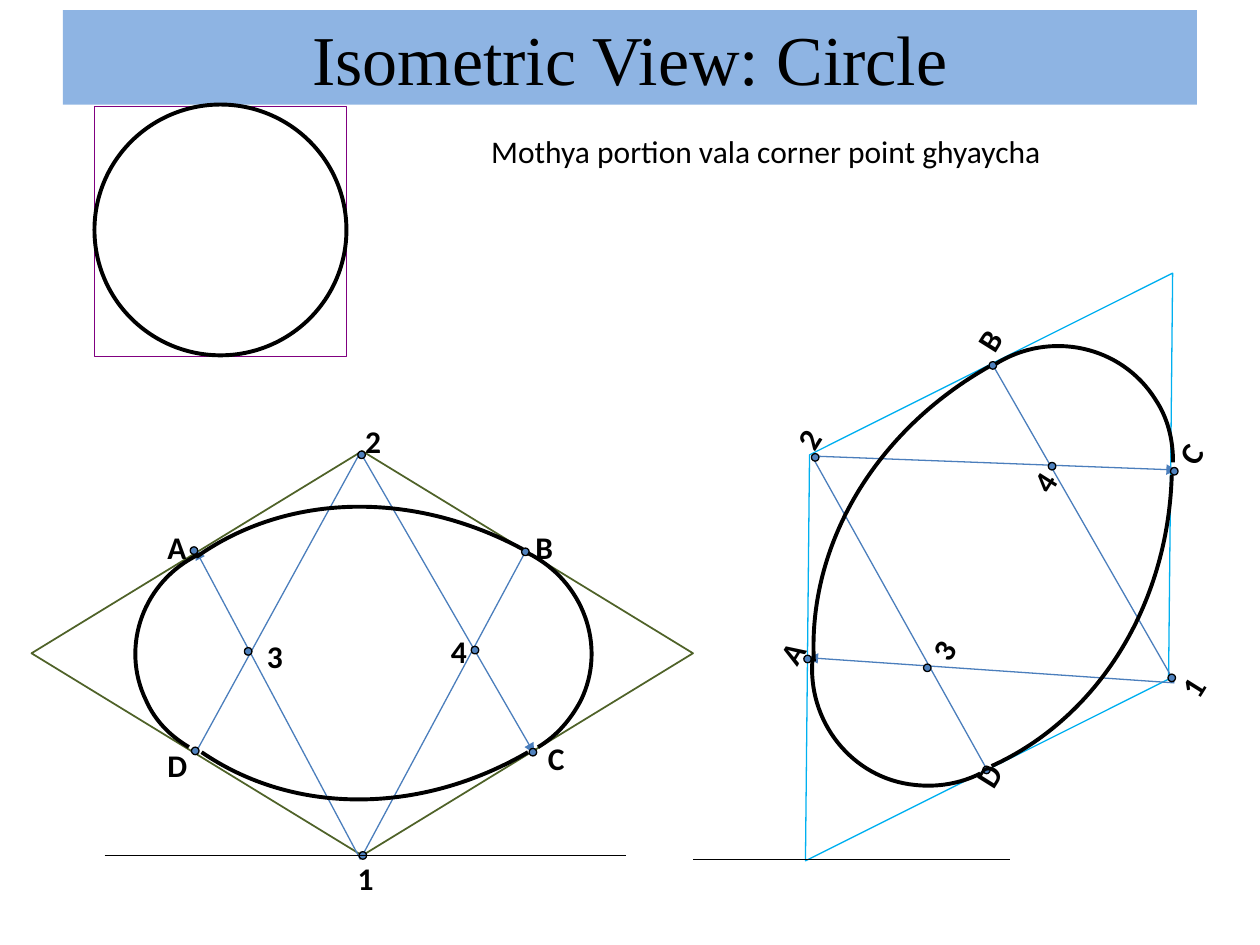
from lxml import etree
from pptx import Presentation
from pptx.dml.color import RGBColor
from pptx.enum.shapes import MSO_CONNECTOR as Wire, MSO_SHAPE as Kind
from pptx.enum.text import MSO_ANCHOR as Anchor, MSO_AUTO_SIZE as Fit, PP_ALIGN as Align
from pptx.oxml.ns import qn
from pptx.util import Inches, Pt

COLORS = {
    "banner": "8EB4E3", "black": "000000", "white": "FFFFFF", "dot": "4F81BD",
    "ray": "4B7EBC", "olive": "4F6228", "cyan": "00B0F0", "purple": "800080",
}
FONTS = {
    "title": {"name": "Times New Roman", "size": Pt(40), "bold": False},
    "note": {"name": "Calibri", "size": Pt(18), "bold": False},
    "label": {"name": "Calibri", "size": Pt(18), "bold": True},
}
DOT = 0.06
LABEL_HEIGHT = 0.4

FIGURES = [
    {
        "turn": 0,
        "rhombus": ((0.25, 3.58, 5.25, 3.21), None, ("olive", 1)),
        "dots": [(1.54, 4.37), (1.55, 5.96), (4.23, 5.97), (4.17, 4.38),
                 (2.88, 6.79), (2.87, 3.61), (1.97, 5.17), (3.77, 5.16)],
        "rays": [((1.55, 4.36), (2.86, 6.82), "headEnd"),
                 ((4.18, 4.36), (2.86, 6.82), None),
                 ((2.86, 3.59), (1.55, 5.98), None),
                 ((2.86, 3.59), (4.24, 5.98), "tailEnd")],
        "labels": {"1": (2.74, 6.77), "4": (3.48, 4.97), "2": (2.8, 3.3),
                   "3": (2.02, 5.01), "A": (1.23, 4.14), "B": (4.15, 4.14),
                   "D": (1.23, 5.87), "C": (4.25, 5.82)},
        "arcs": [
            [(1.56, 4.42), (2.28, 3.91), (3.28, 3.89), (4.15, 4.36)],
            [(1.6, 5.97), (2.33, 6.47), (3.33, 6.47), (4.19, 5.97)],
            [(4.19, 4.39), (4.63, 4.61), (4.82, 5.13), (4.61, 5.56),
             (4.53, 5.71), (4.42, 5.84), (4.27, 5.93)],
            [(1.58, 4.4), (1.14, 4.61), (0.95, 5.13), (1.16, 5.56),
             (1.23, 5.72), (1.35, 5.84), (1.5, 5.93)],
        ],
        "ground": ((0.83, 6.79), (4.97, 6.79)),
    },
    {
        "turn": 302,
        "rhombus": ((5.1, 2.82, 5.5, 3.36), "white", ("cyan", 0.75)),
        "dots": [(6.41, 5.23), (7.83, 6.11), (9.32, 3.74), (7.88, 2.9),
                 (9.3, 5.38), (6.47, 3.63), (7.36, 5.3), (8.35, 3.7)],
        "rays": [((6.41, 5.22), (9.32, 5.42), "headEnd"),
                 ((7.87, 2.88), (9.32, 5.41), None),
                 ((6.45, 3.63), (7.84, 6.12), None),
                 ((6.45, 3.62), (9.34, 3.73), "tailEnd")],
        "labels": {"1": (9.3, 5.25), "4": (8.12, 3.62), "2": (6.25, 3.28),
                   "3": (7.32, 4.95), "A": (6.1, 4.97), "B": (7.67, 2.48),
                   "D": (7.66, 5.94), "C": (9.27, 3.38)},
        "arcs": [
            [(6.46, 5.25), (6.41, 4.32), (6.95, 3.42), (7.85, 2.91)],
            [(7.87, 6.08), (8.71, 5.7), (9.27, 4.81), (9.3, 3.77)],
            [(7.9, 2.89), (8.33, 2.62), (8.9, 2.74), (9.17, 3.17),
             (9.27, 3.32), (9.31, 3.49), (9.31, 3.67)],
            [(6.45, 5.22), (6.4, 5.72), (6.76, 6.18), (7.26, 6.23),
             (7.44, 6.25), (7.62, 6.22), (7.78, 6.14)],
        ],
        "ground": ((5.5, 6.82), (8.02, 6.82)),
    },
]


def color(name):
    return RGBColor.from_string(COLORS[name])


class Drawing:
    def __init__(self, page):
        self.page = page

    def outline(self, item, stroke):
        if stroke is None:
            item.line.fill.background()
            return
        name, width = stroke
        item.line.color.rgb = color(name)
        item.line.width = Pt(width)

    def shape(self, kind, place, fill=None, stroke=None, turn=0):
        box = self.page.shapes.add_shape(kind, *map(Inches, place))
        box.shadow.inherit = False
        box.rotation = turn
        if fill:
            box.fill.solid()
            box.fill.fore_color.rgb = color(fill)
        else:
            box.fill.background()
        self.outline(box, stroke)
        return box

    def wording(self, box, text, style, align=Align.LEFT):
        para = box.text_frame.paragraphs[0]
        para.alignment = align
        span = para.add_run()
        span.text = text
        for key, value in FONTS[style].items():
            setattr(span.font, key, value)
        span.font.color.rgb = color("black")

    def text(self, place, text, style, wrap=False, turn=0):
        box = self.page.shapes.add_textbox(*map(Inches, place))
        box.rotation = turn
        box.text_frame.word_wrap = wrap
        box.text_frame.auto_size = Fit.SHAPE_TO_FIT_TEXT
        self.wording(box, text, style)

    def banner(self, place, text):
        box = self.shape(Kind.RECTANGLE, place, "banner")
        box.text_frame.vertical_anchor = Anchor.MIDDLE
        self.wording(box, text, "title", Align.CENTER)

    def dot(self, center, turn):
        x, y = center
        place = (x - DOT / 2, y - DOT / 2, DOT, DOT)
        self.shape(Kind.OVAL, place, "dot", ("black", 0.75), turn)

    def line(self, start, end, name, arrow=None):
        wire = self.page.shapes.add_connector(
            Wire.STRAIGHT, *map(Inches, (*start, *end)))
        self.outline(wire, ("black" if name is None else name, 0.75))
        properties = wire._element.spPr
        if arrow:
            etree.SubElement(properties.find(qn("a:ln")), qn("a:" + arrow), type="triangle")
        etree.SubElement(properties, qn("a:effectLst"))

    def curve(self, points):
        start, *rest = [tuple(map(Inches, point)) for point in points]
        builder = self.page.shapes.build_freeform(*start)
        builder.add_line_segments(rest, close=False)
        arc = builder.convert_to_shape()
        arc.shadow.inherit = False
        arc.fill.background()
        self.outline(arc, ("black", 2.25))
        steps = list(arc._element.iter(qn("a:lnTo")))
        for first in range(0, len(steps), 3):
            trio = steps[first:first + 3]
            bezier = etree.Element(qn("a:cubicBezTo"))
            trio[0].addprevious(bezier)
            for step in trio:
                bezier.append(step[0])
                step.getparent().remove(step)

    def figure(self, parts):
        turn = parts["turn"]
        self.shape(Kind.DIAMOND, *parts["rhombus"], turn)
        for start, end, arrow in parts["rays"]:
            self.line(start, end, "ray", arrow)
        for center in parts["dots"]:
            self.dot(center, turn)
        for text, corner in parts["labels"].items():
            width = 0.34 if text.isdigit() else 0.38
            self.text((*corner, width, LABEL_HEIGHT), text, "label", turn=turn)
        for points in parts["arcs"]:
            self.curve(points)
        self.line(*parts["ground"], "black")


def main():
    deck = Presentation()
    deck.slide_width, deck.slide_height = Inches(10), Inches(7.5)
    drawing = Drawing(deck.slides.add_slide(deck.slide_layouts[6]))
    drawing.banner((0.5, 0.08, 9, 0.75), "Isometric View: Circle")
    for parts in FIGURES:
        drawing.figure(parts)
    drawing.shape(Kind.RECTANGLE, (0.75, 0.84, 2, 1.99), "white", ("purple", 0.25))
    drawing.shape(Kind.OVAL, (0.75, 0.83, 2, 1.99), "white", ("black", 2.25))
    drawing.text((3.8, 1, 5.93, 0.4), "Mothya portion vala corner point ghyaycha",
                 "note", wrap=True)
    deck.save("out.pptx")


if __name__ == "__main__":
    main()
